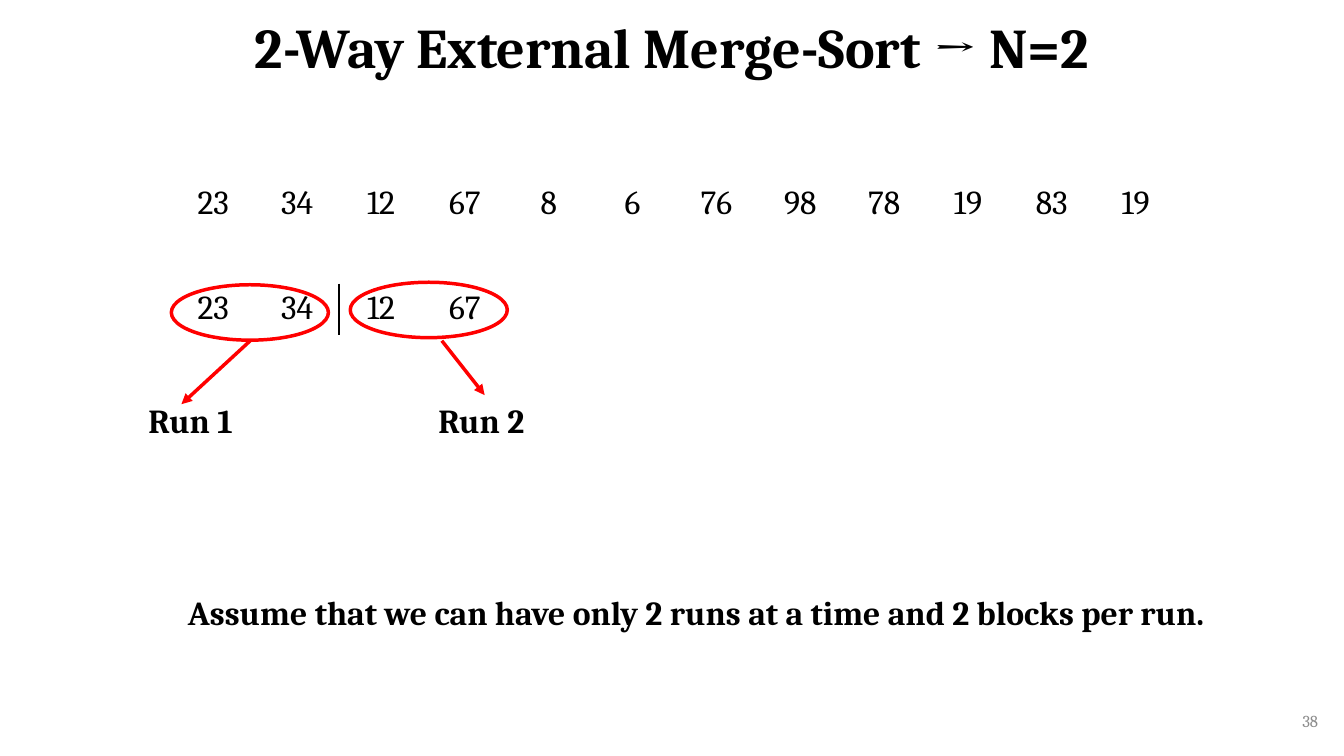
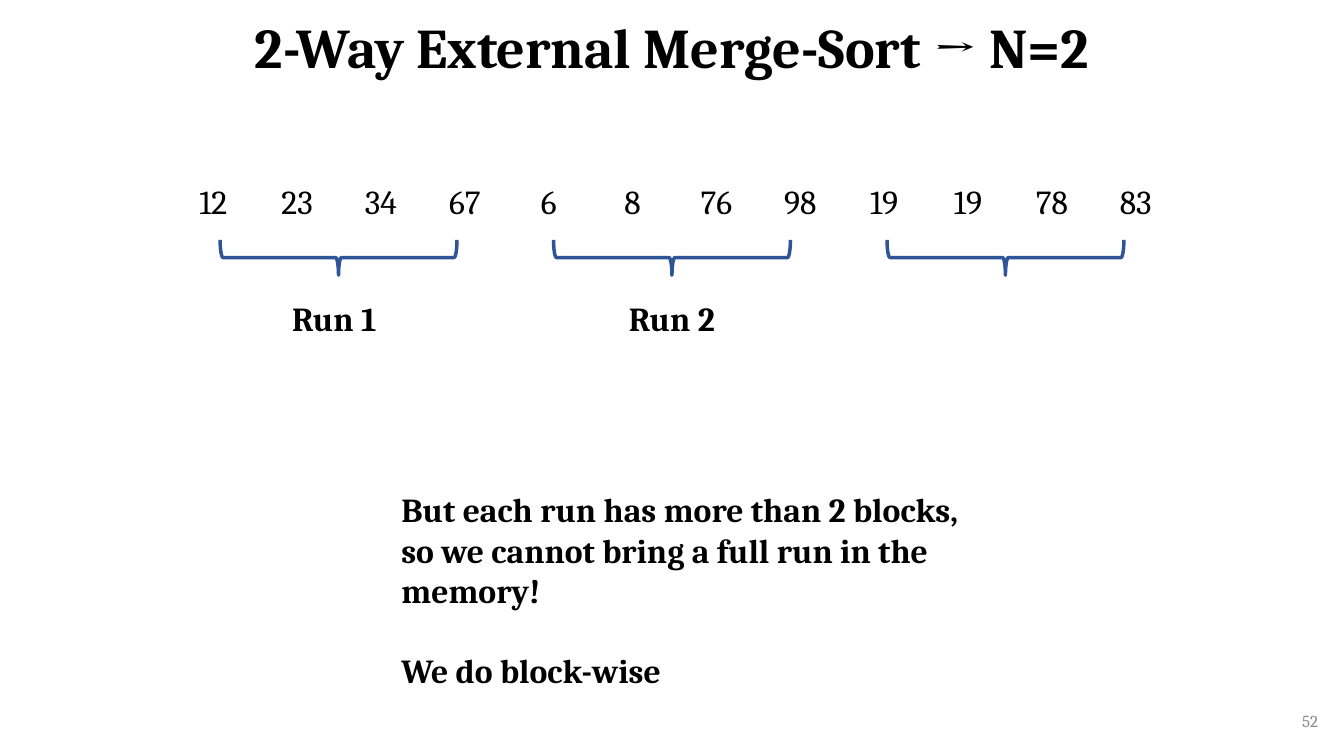
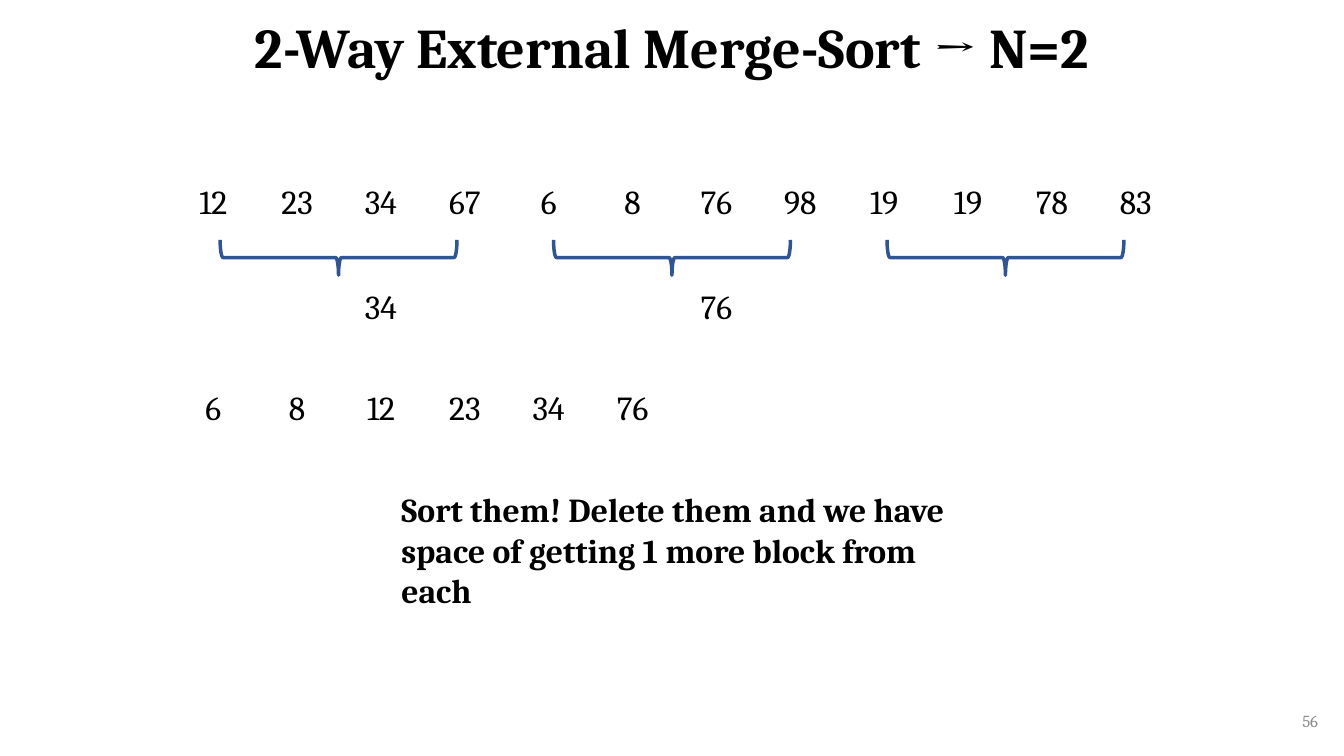
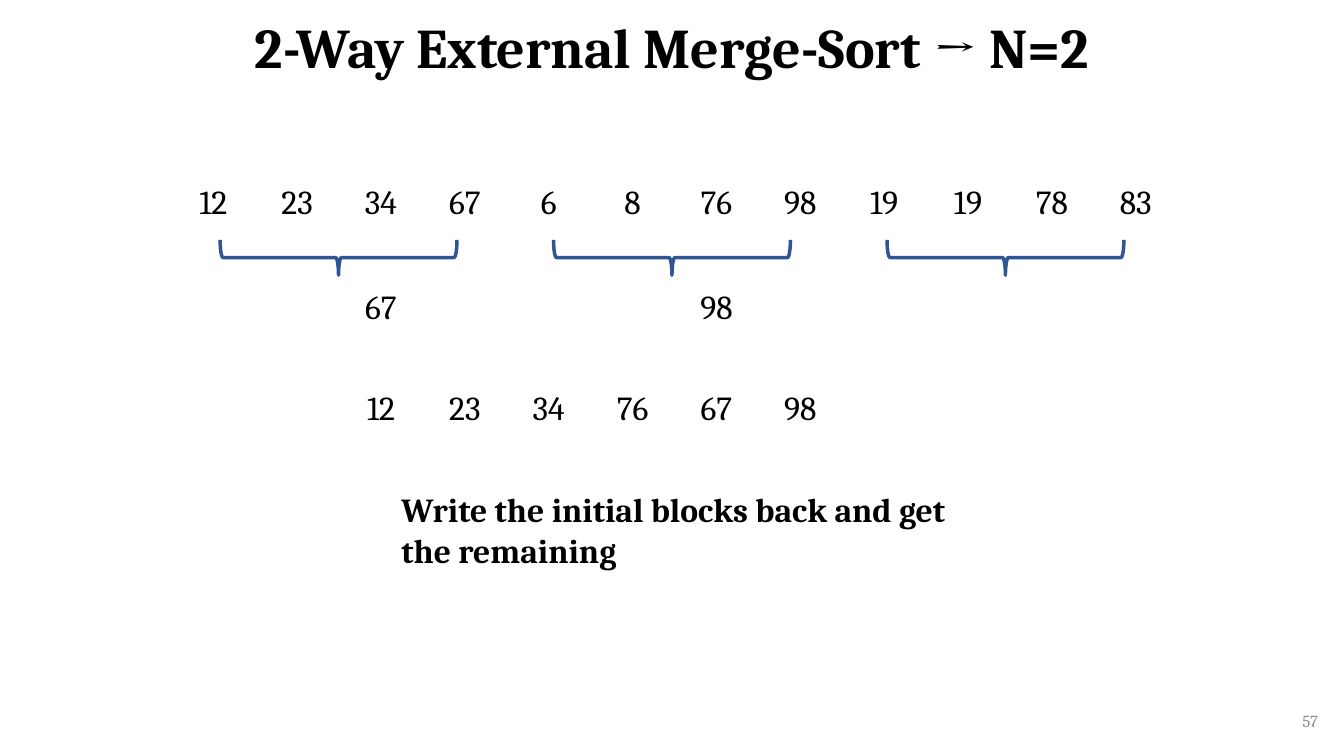
from pptx import Presentation
from pptx.dml.color import RGBColor
from pptx.enum.shapes import MSO_CONNECTOR, MSO_SHAPE
from pptx.enum.text import MSO_ANCHOR, PP_ALIGN
from pptx.oxml import parse_xml
from pptx.oxml.ns import nsdecls
from pptx.util import Inches, Pt

COL, ROW = 13.333 / 16, 7.5 / 15
FONT, BLACK, GREY, RED, BLUE = "Cambria", "000000", "8C8C8C", "FF0000", "2F5597"
TITLE = "2-Way External Merge-Sort → N=2"
LEFT, WIDE, HIGH = 2.04, 11.98, 0.92
DATA, PICK, MERGE = 3.56, 5.64, 7.64
CELLS = 12
INPUT = [23, 34, 12, 67, 8, 6, 76, 98, 78, 19, 83, 19]
RUNS = [12, 23, 34, 67, 6, 8, 76, 98, 19, 19, 78, 83]
STEP = 3.97
NOTE = (4.66, 9.61, 6.97, 2.6)


def hue(code):
    """Turn a hex string into a colour."""
    return RGBColor.from_string(code)


def place(*box):
    """Turn grid columns and rows into slide lengths."""
    return [Inches(n * unit) for n, unit in zip(box, (COL, ROW) * 2)]


def write(para, text, size=24, bold=False, color=BLACK):
    """Add one styled run to a paragraph."""
    run = para.add_run()
    run.text = str(text)
    font = run.font
    font.name, font.size, font.bold = FONT, Pt(size), bold
    font.color.rgb = hue(color)


def label(slide, box, *lines, align=PP_ALIGN.LEFT, anchor=MSO_ANCHOR.TOP,
          lead=None, gap=28.5, size=24, bold=True, color=BLACK):
    """Add a wrapped text box with one paragraph per line."""
    frame = slide.shapes.add_textbox(*place(*box)).text_frame
    frame.word_wrap = True
    frame.vertical_anchor = anchor
    for i, line in enumerate(lines):
        para = frame.add_paragraph() if i else frame.paragraphs[0]
        para.alignment, para.line_spacing = align, lead
        para.space_before = Pt(gap if i else 0)
        write(para, line, size, bold, color)


def edge(cell, side):
    """Draw a thin black border on one side of a cell."""
    cell._tc.get_or_add_tcPr().insert(0, parse_xml(
        f'<a:{side} {nsdecls("a")} w="12700"><a:solidFill>'
        f'<a:srgbClr val="{BLACK}"/></a:solidFill></a:{side}>'))


def strip(slide, top, values, start=0):
    """Add a row of blocks, filled from the given cell on."""
    frame = slide.shapes.add_table(1, CELLS, *place(LEFT, top, WIDE, HIGH))
    table = frame.table
    table.first_row = table.horz_banding = False
    for i, cell in enumerate(table.iter_cells()):
        cell.fill.background()
        if 0 <= i - start < len(values) and values[i - start] is not None:
            para = cell.text_frame.paragraphs[0]
            para.alignment = PP_ALIGN.CENTER
            write(para, values[i - start])
    return table


def outline(slide, kind, box, color):
    """Add an unfilled shape with a thick line."""
    shape = slide.shapes.add_shape(kind, *place(*box))
    shape.shadow.inherit = False
    shape.fill.background()
    shape.line.color.rgb = hue(color)
    shape.line.width = Pt(2.5)
    return shape


def brace(slide, box):
    """Add a brace that points down and spans the box."""
    shape = outline(slide, MSO_SHAPE.LEFT_BRACE, box, BLUE)
    mid, base = shape.left + shape.width // 2, shape.top + shape.height // 2
    shape.width, shape.height = shape.height, shape.width
    shape.left, shape.top = mid - shape.width // 2, base - shape.height // 2
    shape.rotation = 270


def arrow(slide, start, end):
    """Add a red arrow between two grid points."""
    line = slide.shapes.add_connector(
        MSO_CONNECTOR.STRAIGHT, *place(*start, *end))
    line.line.color.rgb = hue(RED)
    line.line.width = Pt(2.5)
    line.line._get_or_add_ln().append(
        parse_xml(f'<a:tailEnd {nsdecls("a")} type="triangle"/>'))
    line._element.spPr.append(parse_xml(f'<a:effectLst {nsdecls("a")}/>'))


def base(deck, number, values):
    """Add a slide with title, number and data row."""
    slide = deck.slides.add_slide(deck.slide_layouts[6])
    label(slide, (1.1, 0, 13.8, 1.98), TITLE, align=PP_ALIGN.CENTER,
          anchor=MSO_ANCHOR.MIDDLE, lead=0.9, size=40)
    label(slide, (12.21, 13.9, 3.6, 0.8), number, align=PP_ALIGN.RIGHT,
          anchor=MSO_ANCHOR.MIDDLE, size=12, bold=False, color=GREY)
    strip(slide, DATA, values)
    return slide


def split(deck, number):
    """Build the slide that forms the first two runs."""
    slide = base(deck, number, INPUT)
    table = strip(slide, PICK, INPUT[:4])
    edge(table.cell(0, 1), "lnR")
    edge(table.cell(0, 2), "lnL")
    for left, top in ((LEFT, 5.65), (4.17, 5.6)):
        outline(slide, MSO_SHAPE.OVAL, (left, top, 1.87, 1.1), RED)
    for i, left in enumerate((1.65, 5.1), 1):
        label(slide, (left, 7.84, 1.32, 1), f"Run {i}")
    arrow(slide, (2.98, 6.76), (2.16, 8.02))
    arrow(slide, (5.26, 6.76), (5.77, 7.84))
    label(slide, (2.12, 11.65, 12.59, 1),
          "Assume that we can have only 2 runs at a time and 2 blocks per run.")


def merge(deck, number, *notes, picks=(), merged=(), start=0):
    """Build a slide with braced runs, two work rows and a note."""
    slide = base(deck, number, RUNS)
    strip(slide, PICK, picks, 2)
    strip(slide, MERGE, merged, start)
    for i in range(3):
        brace(slide, (2.62 + i * STEP, 4.76, 2.82, 0.7))
    label(slide, NOTE, *notes)
    return slide


def main():
    """Build and save the deck."""
    deck = Presentation()
    deck.slide_width, deck.slide_height = place(16, 15)
    split(deck, 38)
    slide = merge(deck, 52, "But each run has more than 2 blocks, so we "
                  "cannot bring a full run in the memory!",
                  "We do block-wise")
    for i in range(2):
        label(slide, (3.36 + i * 4.01, 5.82, 1.32, 1), f"Run {i + 1}")
    merge(deck, 56, "Sort them! Delete them and we have space of getting "
          "1 more block from each",
          picks=[34, None, None, None, 76], merged=[6, 8, 12, 23, 34, 76])
    merge(deck, 57, "Write the initial blocks back and get the remaining",
          picks=[67, None, None, None, 98],
          merged=[12, 23, 34, 76, 67, 98], start=2)
    deck.save("out.pptx")


if __name__ == "__main__":
    main()
